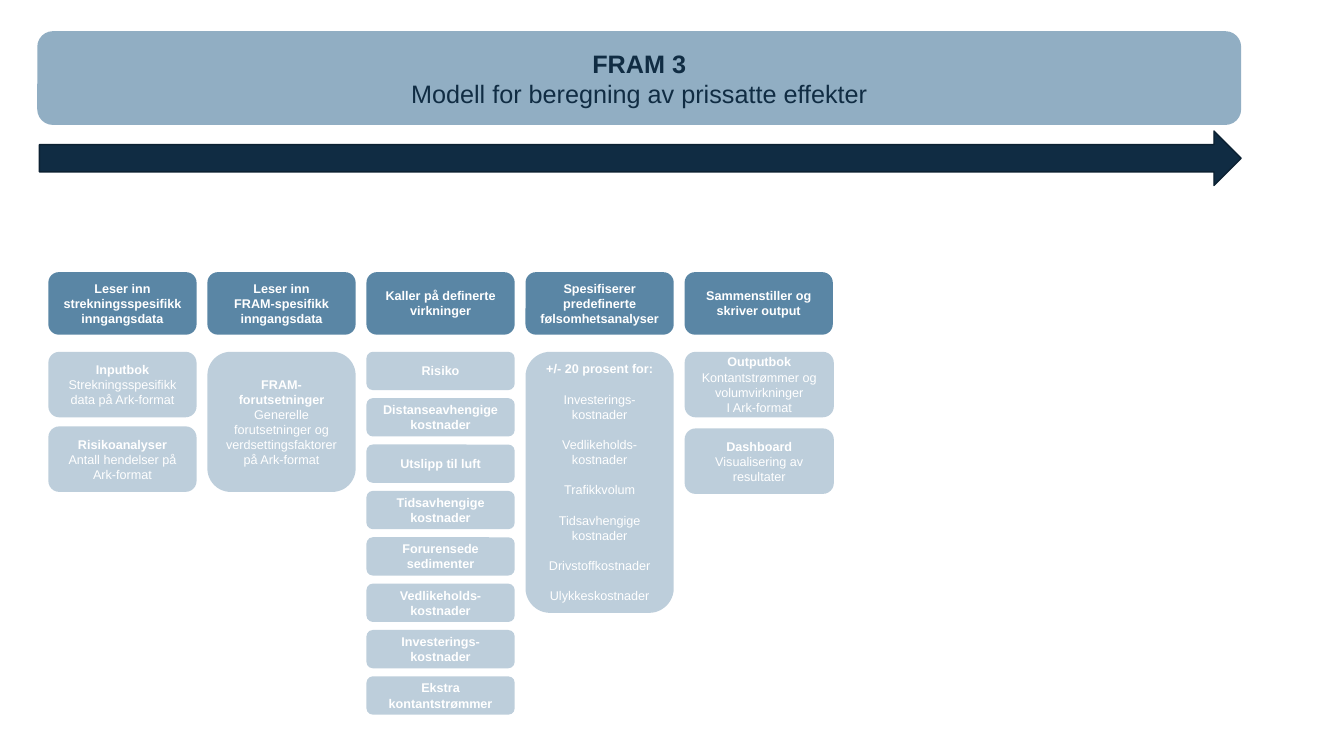
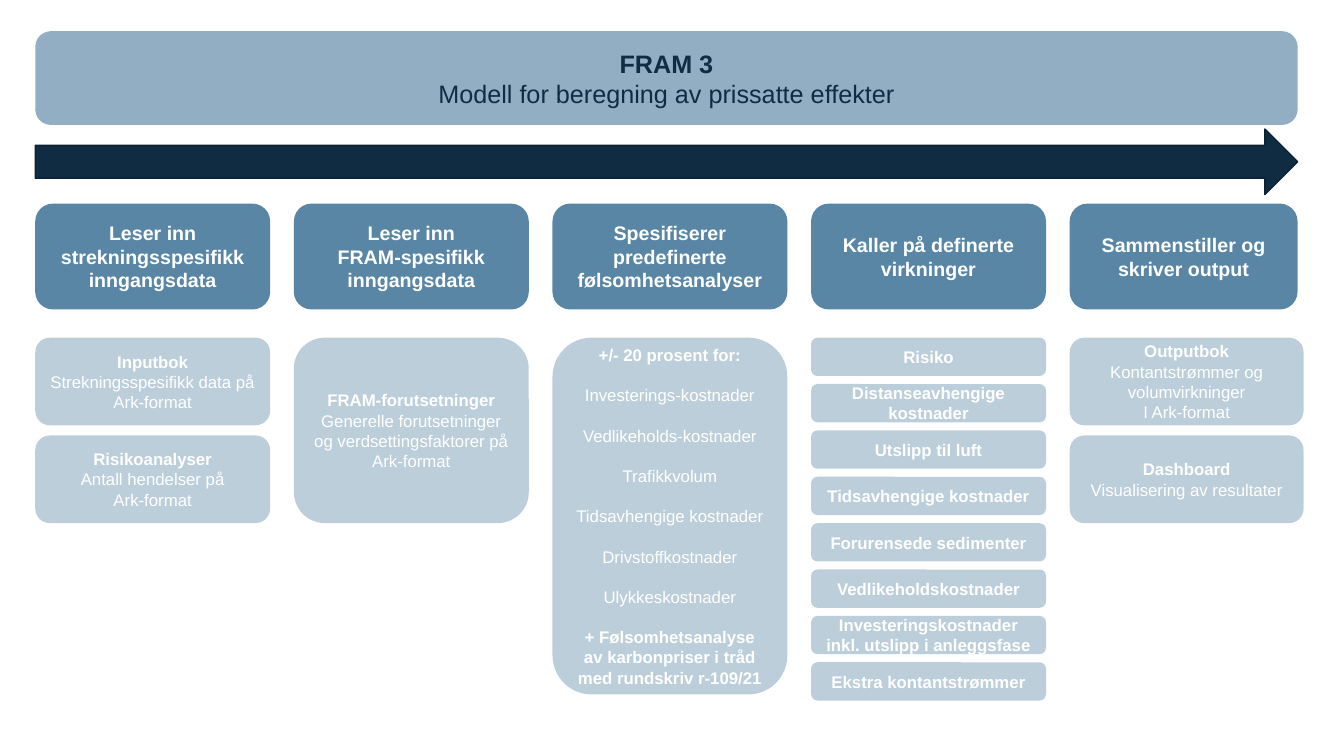
from pptx import Presentation
from pptx import util as u
from pptx.dml.color import RGBColor
from pptx.enum import shapes, text

Inches = u.Inches
COLORS = {
    "banner": "91AEC3",
    "header": "5A86A5",
    "card": "BDCEDB",
    "navy": "102C43",
    "arrow_edge": "0C2132",
    "white": "FFFFFF",
}
FONT = "Arial"
LINE_RATIO = 1.2
ROUNDED = shapes.MSO_SHAPE.ROUNDED_RECTANGLE


def write(box, lines, size, color="white", bold=(0,), spaced=False):
    """Centre lines in box; bold lists bold line numbers, spaced leaves a line between."""
    frame = box.text_frame
    frame.word_wrap = True
    frame.auto_size = text.MSO_AUTO_SIZE.NONE
    frame.vertical_anchor = text.MSO_ANCHOR.MIDDLE
    pitch = u.Pt(round(size * LINE_RATIO, 1))
    for number, line in enumerate(lines):
        para = frame.add_paragraph() if number else frame.paragraphs[0]
        para.alignment = text.PP_ALIGN.CENTER
        para.line_spacing = pitch
        para.space_before = pitch if spaced and number else u.Pt(0)
        span = para.add_run()
        span.text = line
        span.font.name = FONT
        span.font.size = u.Pt(size)
        span.font.bold = number in bold
        span.font.color.rgb = RGBColor.from_string(COLORS[color])


def add_box(page, left, top, width, height, fill, kind=ROUNDED):
    box = page.shapes.add_shape(
        kind, Inches(left), Inches(top), Inches(width), Inches(height))
    box.shadow.inherit = False
    box.fill.solid()
    box.fill.fore_color.rgb = RGBColor.from_string(COLORS[fill])
    box.line.fill.background()
    return box


# Each column is (header lines, cards); each card is a list of lines.
read_route = (
    ["Leser inn strekningsspesifikk inngangsdata"],
    [["Inputbok", "Strekningsspesifikk data på Ark-format"],
     ["Risikoanalyser", "Antall hendelser på", "Ark-format"]],
)
read_fram = (
    ["Leser inn", "FRAM-spesifikk", "inngangsdata"],
    [["FRAM-forutsetninger",
      "Generelle forutsetninger og verdsettingsfaktorer på Ark-format"]],
)
output = (
    ["Sammenstiller og skriver output"],
    [["Outputbok", "Kontantstrømmer og volumvirkninger", "I Ark-format"],
     ["Dashboard", "Visualisering av resultater"]],
)
effects_header = ["Kaller på definerte virkninger"]
effects = ["Risiko", "Distanseavhengige kostnader", "Utslipp til luft",
           "Tidsavhengige kostnader", "Forurensede sedimenter"]
short_effects = (effects_header, [[name] for name in effects + [
    "Vedlikeholds-kostnader", "Investerings-kostnader", "Ekstra kontantstrømmer"]])
full_effects = (effects_header, [[name] for name in effects + [
    "Vedlikeholdskostnader", "Investeringskostnader inkl. utslipp i anleggsfase",
    "Ekstra kontantstrømmer"]])
sensitivity_header = ["Spesifiserer predefinerte følsomhetsanalyser"]
sensitivities = ["+/- 20 prosent for:", "Investerings-kostnader",
                 "Vedlikeholds-kostnader", "Trafikkvolum", "Tidsavhengige kostnader",
                 "Drivstoffkostnader", "Ulykkeskostnader"]
carbon = "+ Følsomhetsanalyse av karbonpriser i tråd med rundskriv r-109/21"
short_sensitivity = (sensitivity_header, [sensitivities])
full_sensitivity = (sensitivity_header, [sensitivities + [carbon]])

# Card sizes are (height, step to the next card).
EFFECT_CARD = (0.38, 0.46)
pages = [
    {"banner": (0.37, 11.94), "arrow": (0.39, 1.3, 11.92, 0.54),
     "lefts": (0.48, 6.79), "width": 1.47, "last_widths": (1.47, 1.48),
     "header": (2.7, 0.62, 9), "cards_top": 3.49, "card_size": 9,
     "columns": [(read_route, (0.65, 0.74)), (read_fram, (1.39, 0)),
                 (short_effects, EFFECT_CARD), (short_sensitivity, (2.59, 0)),
                 (output, (0.65, 0.76))]},
    {"banner": (0.35, 12.52), "arrow": (0.35, 1.28, 12.52, 0.65),
     "lefts": (0.35, 10.61), "width": 2.33, "last_widths": (2.26, 2.32),
     "header": (2.02, 1.05, 14), "cards_top": 3.35, "card_size": 12,
     "columns": [(read_route, (0.87, 0.97)), (read_fram, (1.84, 0)),
                 (full_sensitivity, (3.54, 0)), (full_effects, EFFECT_CARD),
                 (output, (0.87, 0.97))]},
]

deck = Presentation()
deck.slide_width, deck.slide_height = Inches(13.33), Inches(7.5)
title_only = deck.slide_layouts[5]

for plan in pages:
    page = deck.slides.add_slide(title_only)

    banner_left, banner_width = plan["banner"]
    banner = add_box(page, banner_left, 0.31, banner_width, 0.93, "banner")
    title = page.shapes.title
    title.left, title.top = banner.left, banner.top
    title.width, title.height = banner.width, banner.height
    banner._element.addnext(title._element)
    write(title, ["FRAM 3", "Modell for beregning av prissatte effekter"], 18, "navy")

    arrow = add_box(page, *plan["arrow"], "navy", shapes.MSO_SHAPE.RIGHT_ARROW)
    arrow.line.color.rgb = RGBColor.from_string(COLORS["arrow_edge"])
    arrow.line.width = u.Pt(1)

    first_left, last_left = plan["lefts"]
    last = len(plan["columns"]) - 1
    column_step = (last_left - first_left) / last
    header_top, header_height, header_size = plan["header"]
    for index, ((heading, cards), (height, step)) in enumerate(plan["columns"]):
        left = first_left + index * column_step
        header_width = card_width = plan["width"]
        if index == last:
            header_width, card_width = plan["last_widths"]
        header = add_box(page, left, header_top, header_width, header_height, "header")
        write(header, heading, header_size, bold=range(len(heading)))

        for row, lines in enumerate(cards):
            card = add_box(page, left, plan["cards_top"] + row * step,
                           card_width, height, "card")
            bold = [n for n, line in enumerate(lines) if n == 0 or line == carbon]
            write(card, lines, plan["card_size"], bold=bold,
                  spaced=lines[0] == sensitivities[0])

deck.save("out.pptx")
